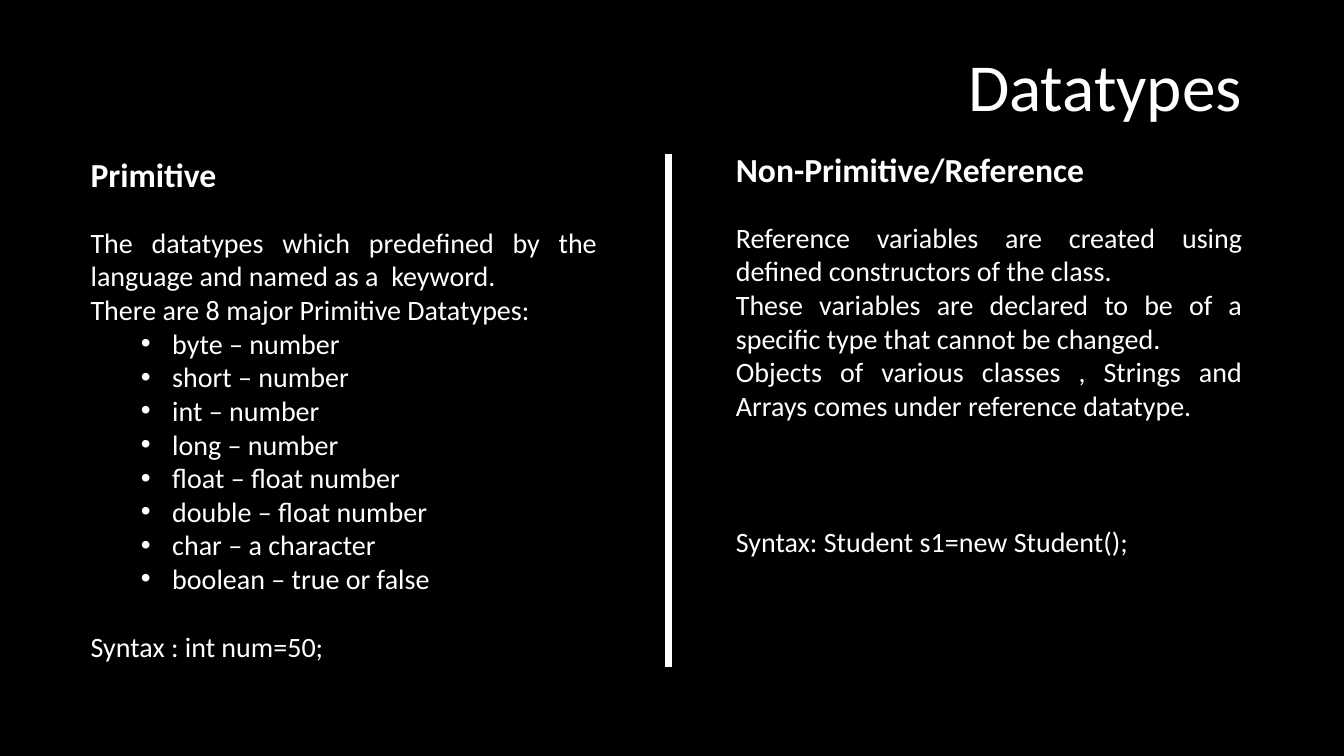
from dataclasses import dataclass

from lxml.etree import SubElement
from pptx import Presentation
from pptx.dml.color import RGBColor
from pptx.enum.shapes import MSO_CONNECTOR, MSO_SHAPE
from pptx.enum.text import MSO_ANCHOR, MSO_AUTO_SIZE, PP_ALIGN
from pptx.oxml.ns import qn
from pptx.util import Inches, Pt


@dataclass(frozen=True)
class Theme:
    font: str = "Calibri"
    back: RGBColor = RGBColor(0x00, 0x00, 0x00)
    ink: RGBColor = RGBColor(0xFF, 0xFF, 0xFF)
    title: int = 48
    heading: int = 24
    body: int = 20
    rule: float = 4.5


HEADING_GAP = 22
LINE_GAP = 24.4
TYPES = [
    ("byte", "number"),
    ("short", "number"),
    ("int", "number"),
    ("long", "number"),
    ("float", "float number"),
    ("double", "float number"),
    ("char", "a character"),
    ("boolean", "true or false"),
]


def assign(target, values):
    for name, value in values.items():
        setattr(target, name, value)


class SlideBuilder:
    def __init__(self, prs, theme):
        self.theme = theme
        self.s = prs.slides.add_slide(prs.slide_layouts[5])
        self.fill(self.s.background)

    def fill(self, target):
        target.fill.solid()
        target.fill.fore_color.rgb = self.theme.back

    def text(self, p, text, size, bold=False, **layout):
        assign(p, layout)
        r = p.add_run()
        r.text = text
        assign(r.font, {"name": self.theme.font, "size": Pt(size), "bold": bold})
        r.font.color.rgb = self.theme.ink

    def title(self, text, left, top, width, height):
        sp = self.s.shapes.title
        assign(sp, {"left": Inches(left), "top": Inches(top),
                    "width": Inches(width), "height": Inches(height)})
        self.fill(sp)
        tf = sp.text_frame
        assign(tf, {"word_wrap": True, "auto_size": MSO_AUTO_SIZE.NONE,
                    "vertical_anchor": MSO_ANCHOR.MIDDLE})
        self.text(tf.paragraphs[0], text, self.theme.title,
                  alignment=PP_ALIGN.RIGHT, line_spacing=0.9)

    def bullet(self, p):
        pPr = p._p.get_or_add_pPr()
        pPr.set("marL", str(Inches(0.81)))
        pPr.set("indent", str(Inches(-0.31)))
        SubElement(pPr, qn("a:buFont")).set("typeface", "Arial")
        SubElement(pPr, qn("a:buChar")).set("char", "•")

    def column(self, left, top, heading, intro, items, syntax, syntax_gap):
        sp = self.s.shapes.add_shape(MSO_SHAPE.RECTANGLE, Inches(left), Inches(top),
                                     Inches(5.22), Inches(5.22))
        sp.shadow.inherit = False
        self.fill(sp)
        sp.line.fill.background()
        tf = sp.text_frame
        assign(tf, {"word_wrap": True, "vertical_anchor": MSO_ANCHOR.TOP,
                    "margin_top": 0, "margin_bottom": 0})
        body = self.theme.body
        self.text(tf.paragraphs[0], heading, self.theme.heading, bold=True,
                  alignment=PP_ALIGN.LEFT)
        for i, text in enumerate(intro):
            self.text(tf.add_paragraph(), text, body, alignment=PP_ALIGN.JUSTIFY,
                      space_before=Pt(0 if i else HEADING_GAP))
        for name, value in items:
            p = tf.add_paragraph()
            self.bullet(p)
            self.text(p, f"{name} – {value}", body, level=1,
                      alignment=PP_ALIGN.LEFT)
        self.text(tf.add_paragraph(), syntax, body, alignment=PP_ALIGN.LEFT,
                  space_before=Pt(syntax_gap))

    def divider(self, x, top, bottom):
        line = self.s.shapes.add_connector(MSO_CONNECTOR.STRAIGHT, Inches(x),
                                           Inches(top), Inches(x), Inches(bottom))
        line.line.color.rgb = self.theme.ink
        line.line.width = Pt(self.theme.rule)
        SubElement(line._element.spPr, qn("a:effectLst"))


def main():
    prs = Presentation()
    assign(prs, {"slide_width": Inches(13.33), "slide_height": Inches(7.5)})
    slide = SlideBuilder(prs, Theme())
    slide.title("Datatypes", 0.92, 0.25, 11.5, 1.28)
    slide.column(
        0.8, 1.53, "Primitive",
        ["The datatypes which predefined by the language and named as a  keyword.",
         "There are 8 major Primitive Datatypes:"],
        TYPES, "Syntax : int num=50;", LINE_GAP)
    slide.column(
        7.2, 1.48, "Non-Primitive/Reference",
        ["Reference variables are created using defined constructors of the class.",
         "These variables are declared to be of a specific type that cannot be changed.",
         "Objects of various classes , Strings and Arrays comes under reference datatype."],
        [], "Syntax: Student s1=new Student();", 3 * LINE_GAP)
    slide.divider(6.63, 1.53, 6.62)
    prs.save("out.pptx")


if __name__ == "__main__":
    main()
